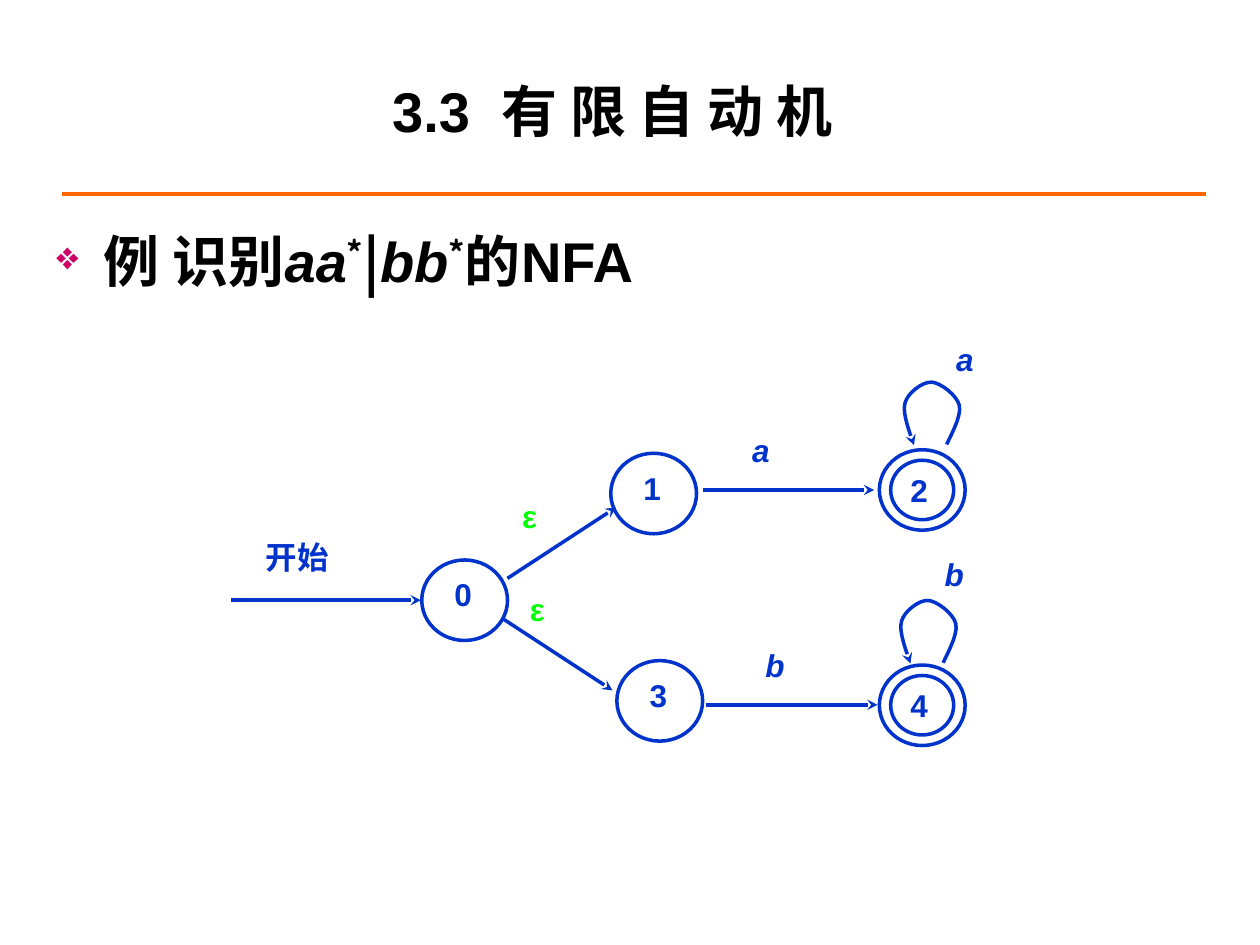
from dataclasses import dataclass
from typing import NamedTuple

from lxml.etree import SubElement
from pptx import Presentation
from pptx.dml.color import RGBColor
from pptx.enum.shapes import MSO_CONNECTOR, MSO_SHAPE
from pptx.enum.text import MSO_ANCHOR, PP_ALIGN
from pptx.oxml.ns import qn
from pptx.util import Pt


@dataclass(frozen=True)
class Theme:
    ink: str = "000000"
    rule: str = "FF6600"
    bullet: str = "CC0066"
    graph: str = "0033CC"
    epsilon: str = "00FF00"
    heading_size: float = 32
    label_size: float = 18
    rule_width: float = 2.25
    graph_width: float = 2
    latin: str = "Arial"
    asian: str = "Noto Sans CJK SC"


class State(NamedTuple):
    name: str
    left: float
    top: float
    accepting: bool = False


class Edge(NamedTuple):
    x1: float
    y1: float
    x2: float
    y2: float


class Label(NamedTuple):
    text: str
    left: float
    top: float
    color: str
    italic: bool = False
    width: float = 40


class Piece(NamedTuple):
    text: str
    font: str
    italic: bool = False
    raised: bool = False


THEME = Theme()
STATE_SIZE = (49, 46)
INNER_SIZE = (36, 34)
INNER_OFFSET = (6.5, 6)

STATES = [
    State("0", 241, 320),
    State("1", 349, 259),
    State("2", 502.5, 257, True),
    State("3", 352.5, 377.5),
    State("4", 502.5, 380, True),
]
EDGES = [
    Edge(132, 343, 240.5, 343),
    Edge(290, 330.5, 352, 290),
    Edge(288, 354, 350, 394.5),
    Edge(402, 280, 499.5, 280),
    Edge(403.5, 402.75, 501.5, 402.75),
]
LABELS = [
    Label("开始", 147.5, 305, THEME.graph, width=79),
    Label("ε", 294, 282, THEME.epsilon),
    Label("ε", 298.5, 335, THEME.epsilon),
    Label("a", 425.5, 244, THEME.graph, True),
    Label("a", 542, 192, THEME.graph, True),
    Label("b", 433, 367, THEME.graph, True),
    Label("b", 535.5, 315, THEME.graph, True),
]

# Self-loop: start points, then Bezier control points relative to the start
LOOP_STARTS = [(541, 254), (539, 378.75)]
LOOP_CURVES = [
    [(0, 0), (1.4, -3.6), (8.6, -15.8), (7.2, -22.3)],
    [(7.2, -22.3), (5.8, -28.1), (-3.6, -35.3), (-8.6, -35.6)],
    [(-8.6, -35.6), (-13.7, -36), (-22.3, -29.5), (-23.8, -23.8)],
    [(-23.8, -23.8), (-25.9, -18), (-20.2, -4.3), (-18.7, 0.4)],
]
CURVE_STEPS = 8


def style_line(line, color: str, width: float, arrow: bool = False) -> None:
    line.color.rgb = RGBColor.from_string(color)
    line.width = Pt(width)
    if arrow:
        SubElement(line._get_or_add_ln(), qn("a:tailEnd"), type="stealth")


def style_span(span, size: float, color: str, font: str = THEME.latin,
               italic: bool = False):
    span.font.size = Pt(size)
    span.font.bold = True
    span.font.italic = italic
    span.font.color.rgb = RGBColor.from_string(color)
    span.font.name = font
    properties = span._r.get_or_add_rPr()
    SubElement(properties, qn("a:ea"), typeface=THEME.asian)
    return properties


def set_frame(frame, insets: tuple, anchor=MSO_ANCHOR.TOP) -> None:
    frame.word_wrap = True
    frame.vertical_anchor = anchor
    (frame.margin_left, frame.margin_top,
     frame.margin_right, frame.margin_bottom) = map(Pt, insets)


def add_box(page, left: float, top: float, width: float, height: float,
            insets: tuple, anchor=MSO_ANCHOR.TOP):
    box = page.shapes.add_textbox(Pt(left), Pt(top), Pt(width), Pt(height))
    set_frame(box.text_frame, insets, anchor)
    return box.text_frame


def add_line(page, edge: Edge, color: str, width: float, arrow: bool) -> None:
    line = page.shapes.add_connector(MSO_CONNECTOR.STRAIGHT, *map(Pt, edge))
    style_line(line.line, color, width, arrow)
    SubElement(line._element.spPr, qn("a:effectLst"))


def add_circle(page, left: float, top: float, size: tuple):
    circle = page.shapes.add_shape(
        MSO_SHAPE.OVAL, Pt(left), Pt(top), Pt(size[0]), Pt(size[1]))
    circle.shadow.inherit = False
    circle.fill.background()
    style_line(circle.line, THEME.graph, THEME.graph_width)
    return circle


def add_state(page, state: State) -> None:
    circle = add_circle(page, state.left, state.top, STATE_SIZE)
    if state.accepting:
        circle = add_circle(page, state.left + INNER_OFFSET[0],
                            state.top + INNER_OFFSET[1], INNER_SIZE)
        set_frame(circle.text_frame, (6, 0, 1, 0), MSO_ANCHOR.MIDDLE)
    else:
        set_frame(circle.text_frame, (11.5, 2, 1.5, 3.6))
    para = circle.text_frame.paragraphs[0]
    para.text = state.name
    para.alignment = PP_ALIGN.LEFT
    style_span(para.runs[0], THEME.label_size, THEME.graph)


def add_label(page, label: Label) -> None:
    frame = add_box(page, label.left, label.top, label.width, 37, (4.3, 2.2, 4.3, 2.2))
    frame.text = label.text
    style_span(frame.paragraphs[0].runs[0], THEME.label_size, label.color,
               italic=label.italic)


def bezier(curve: list, t: float) -> tuple:
    weights = ((1 - t) ** 3, 3 * t * (1 - t) ** 2, 3 * t * t * (1 - t), t ** 3)
    return tuple(sum(w * point[axis] for w, point in zip(weights, curve))
                 for axis in (0, 1))


def add_loop(page, x: float, y: float) -> None:
    offsets = [bezier(curve, step / CURVE_STEPS)
               for curve in LOOP_CURVES for step in range(1, CURVE_STEPS + 1)]
    builder = page.shapes.build_freeform(Pt(x), Pt(y))
    builder.add_line_segments([(Pt(x + dx), Pt(y + dy)) for dx, dy in offsets],
                              close=False)
    loop = builder.convert_to_shape()
    loop.shadow.inherit = False
    loop.fill.background()
    style_line(loop.line, THEME.graph, THEME.graph_width, arrow=True)


def add_title(page) -> None:
    para = add_box(page, 44, 18, 612, 90, (7.2, 3.6, 7.2, 3.6),
                   MSO_ANCHOR.MIDDLE).paragraphs[0]
    para.alignment = PP_ALIGN.CENTER
    for text, spacing in (("3.3", 0), (" ", 9), ("有 限 自 动 机", 0)):
        span = para.add_run()
        span.text = text
        properties = style_span(span, THEME.heading_size, THEME.ink)
        if spacing:
            properties.set("spc", str(spacing * 100))


def add_example(page) -> None:
    para = add_box(page, 25.2, 126, 674.6, 382.3, (7.2, 3.6, 7.2, 3.6)).paragraphs[0]
    para.space_before = Pt(6.4)
    properties = para._p.get_or_add_pPr()
    properties.set("marL", str(Pt(27)))
    properties.set("indent", str(-Pt(27)))
    bullet_color = SubElement(properties, qn("a:buClr"))
    SubElement(bullet_color, qn("a:srgbClr"), val=THEME.bullet)
    SubElement(properties, qn("a:buSzPct"), val="70000")
    SubElement(properties, qn("a:buChar"), char="❖")
    star = Piece("*", THEME.asian, raised=True)
    for piece in (Piece("例 识别", THEME.asian), Piece("aa", THEME.latin, True), star,
                  Piece("|", THEME.asian), Piece("bb", THEME.latin, True), star,
                  Piece("的", THEME.asian), Piece("NFA", THEME.latin)):
        span = para.add_run()
        span.text = piece.text
        properties = style_span(span, THEME.heading_size, THEME.ink,
                                piece.font, piece.italic)
        if piece.raised:
            properties.set("baseline", "30000")


# Page
deck = Presentation()
deck.slide_width, deck.slide_height = Pt(720), Pt(540)
page = deck.slides.add_slide(deck.slide_layouts[6])

# Heading and example
add_line(page, Edge(35.5, 111, 689, 111), THEME.rule, THEME.rule_width, False)
add_title(page)
add_example(page)

# Automaton
for state in STATES:
    add_state(page, state)
for edge in EDGES:
    add_line(page, edge, THEME.graph, THEME.graph_width, True)
for start in LOOP_STARTS:
    add_loop(page, *start)
for label in LABELS:
    add_label(page, label)

deck.save("out.pptx")
